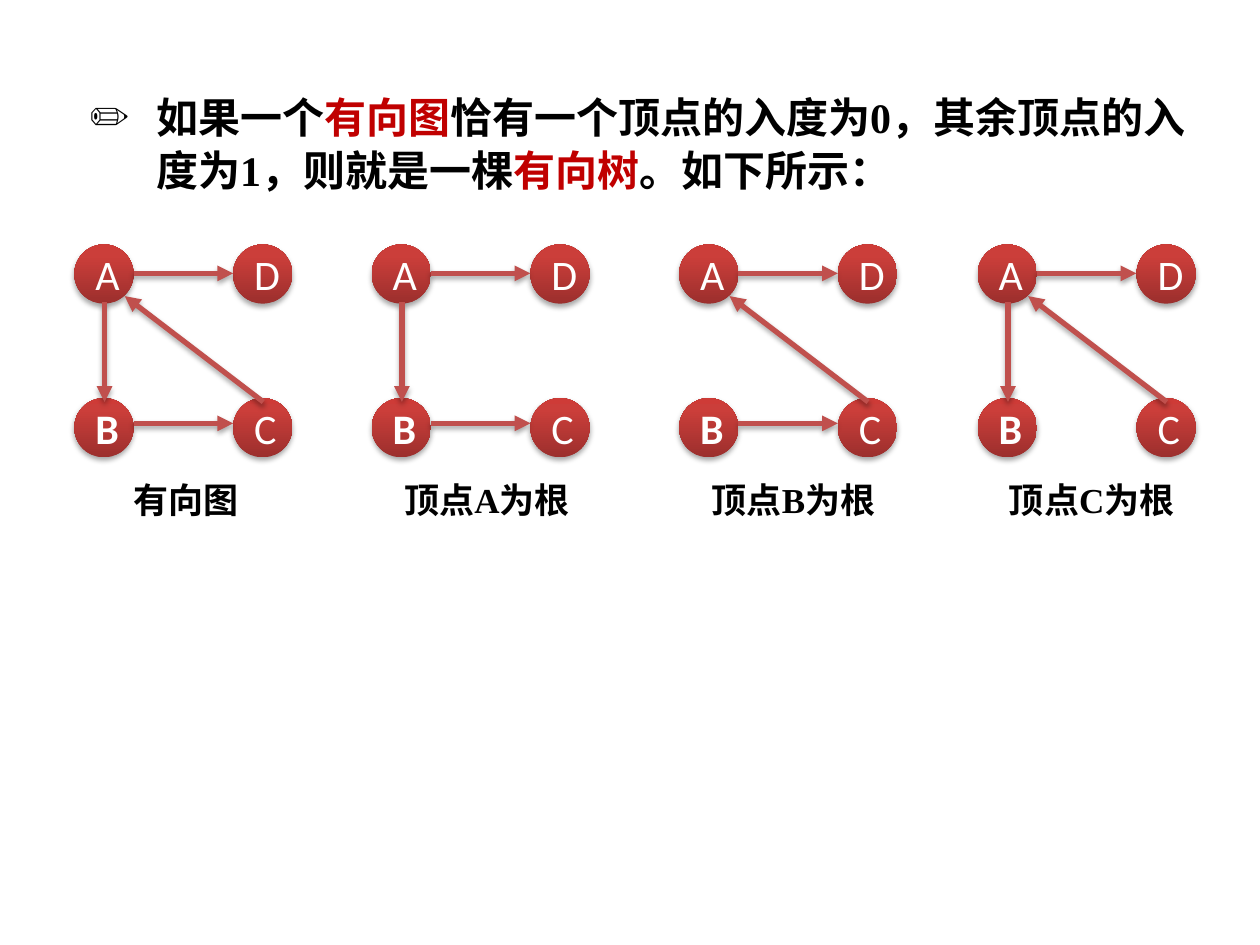
from lxml import etree
from pptx import Presentation, util as u
from pptx.dml.color import RGBColor
from pptx.enum import shapes, text
from pptx.oxml.ns import qn

INK, RED, EDGE, WHITE = "000000", "C00000", "C0504D", "FFFFFF"
SERIF, SANS, CJK = "Times New Roman", "Calibri", "Noto Sans CJK SC"
SHADE = [(0, "9C2F2D"), (80, "CB3E3A"), (100, "CE3B37")]

# Vertex places and edge ends, measured from the corner of a graph
SIZE = 0.47
NODES = {"A": (0, 0), "B": (0, 1.22), "D": (1.26, 0), "C": (1.26, 1.22)}
EDGES = {
    "AB": (0.24, 0.46, 0.24, 1.25),
    "CA": (1.5, 1.25, 0.4, 0.41),
    "AD": (0.47, 0.23, 1.26, 0.23),
    "BC": (0.47, 1.42, 1.26, 1.42),
}
TOP = 1.94

# Left, edges, caption, caption left, caption width
GRAPHS = [
    (0.59, ["AB", "CA", "AD", "BC"], ["有向图"], 0.96, 1.04),
    (2.95, ["AB", "AD", "BC"], ["顶点", "A", "为根"], 3.11, 1.53),
    (5.39, ["CA", "AD", "BC"], ["顶点", "B", "为根"], 5.55, 1.52),
    (7.76, ["AB", "CA", "AD"], ["顶点", "C", "为根"], 7.91, 1.53),
]

RULE = [
    ("如果一个", SERIF, INK),
    ("有向图", CJK, RED),
    ("恰有一个顶点的入度为0，其余顶点的入度为1，则就是一棵", SERIF, INK),
    ("有向树", CJK, RED),
    ("。如下所示：", SERIF, INK),
]


def rgb(code):
    return RGBColor.from_string(code)


def sub(node, tag, **attrs):
    return etree.SubElement(node, qn(tag), {k: str(v) for k, v in attrs.items()})


class Deck:
    def __init__(self):
        self.prs = Presentation()
        self.prs.slide_width = u.Inches(10)
        self.prs.slide_height = u.Inches(7.5)
        self.slide = self.prs.slides.add_slide(self.prs.slide_layouts[1])
        title = self.slide.shapes.title._element
        title.getparent().remove(title)

    def run(self, para, words, size, face, color, bold=True):
        run = para.add_run()
        run.text = words
        font = run.font
        font.size, font.name, font.bold = u.Pt(size), face, bold
        font.color.rgb = rgb(color)
        sub(run._r.get_or_add_rPr(), "a:ea", typeface=CJK)

    def shadow(self, shape):
        props = shape._element.spPr
        glow = props.find(qn("a:effectLst"))
        if glow is None:
            glow = sub(props, "a:effectLst")
        outer = sub(glow, "a:outerShdw", blurRad=u.Pt(3.1), dist=u.Pt(1.8),
                    dir=5400000, rotWithShape=0)
        sub(sub(outer, "a:srgbClr", val=INK), "a:alpha", val=35000)

    def body(self, runs, left, top, width, height):
        box = self.slide.placeholders[1]
        box.left, box.top = u.Inches(left), u.Inches(top)
        box.width, box.height = u.Inches(width), u.Inches(height)
        frame = box.text_frame
        frame.margin_left = frame.margin_right = 0
        frame.auto_size = text.MSO_AUTO_SIZE.SHAPE_TO_FIT_TEXT
        para = frame.paragraphs[0]
        para.space_before = u.Pt(0)
        para.line_spacing = 1.05
        props = para._p.get_or_add_pPr()
        props.set("marL", str(u.Inches(0.53)))
        props.set("indent", str(-u.Inches(0.53)))
        sub(props, "a:buChar", char="✏")
        for words, face, color in runs:
            self.run(para, words, 24, face, color)

    def node(self, group, name, left, top):
        dot = group.shapes.add_shape(
            shapes.MSO_SHAPE.OVAL, u.Inches(left), u.Inches(top),
            u.Inches(SIZE), u.Inches(SIZE))
        dot.fill.gradient()
        dot.fill.gradient_angle = 90
        stops = dot._element.spPr.find(".//" + qn("a:gsLst"))
        for stop in list(stops):
            stops.remove(stop)
        for place, color in SHADE:
            sub(sub(stops, "a:gs", pos=place * 1000), "a:srgbClr", val=color)
        dot.line.fill.background()
        dot.shadow.inherit = False
        self.shadow(dot)
        frame = dot.text_frame
        frame.vertical_anchor = text.MSO_ANCHOR.MIDDLE
        para = frame.paragraphs[0]
        para.alignment = text.PP_ALIGN.CENTER
        self.run(para, name, 24, SANS, WHITE, name == "B")

    def edge(self, group, x1, y1, x2, y2):
        line = group.shapes.add_connector(
            shapes.MSO_CONNECTOR.STRAIGHT,
            u.Inches(x1), u.Inches(y1), u.Inches(x2), u.Inches(y2))
        line.line.color.rgb = rgb(EDGE)
        line.line.width = u.Pt(3)
        sub(line.line._get_or_add_ln(), "a:tailEnd", type="triangle")
        self.shadow(line)

    def graph(self, left, edges):
        group = self.slide.shapes.add_group_shape()
        for name, (x, y) in NODES.items():
            self.node(group, name, left + x, TOP + y)
        for key in edges:
            x1, y1, x2, y2 = EDGES[key]
            self.edge(group, left + x1, TOP + y1, left + x2, TOP + y2)

    def label(self, parts, left, width):
        box = self.slide.shapes.add_textbox(
            u.Inches(left), u.Inches(3.75), u.Inches(width), u.Inches(0.44))
        frame = box.text_frame
        frame.word_wrap = True
        for part in parts:
            self.run(frame.paragraphs[0], part, 20, SERIF, INK)


def main():
    deck = Deck()

    # Rule for a directed tree
    deck.body(RULE, 0.71, 0.66, 8.85, 1.04)

    # Directed graph and its three trees
    for left, edges, parts, start, width in GRAPHS:
        deck.graph(left, edges)
        deck.label(parts, start, width)

    deck.prs.save("out.pptx")


if __name__ == "__main__":
    main()
